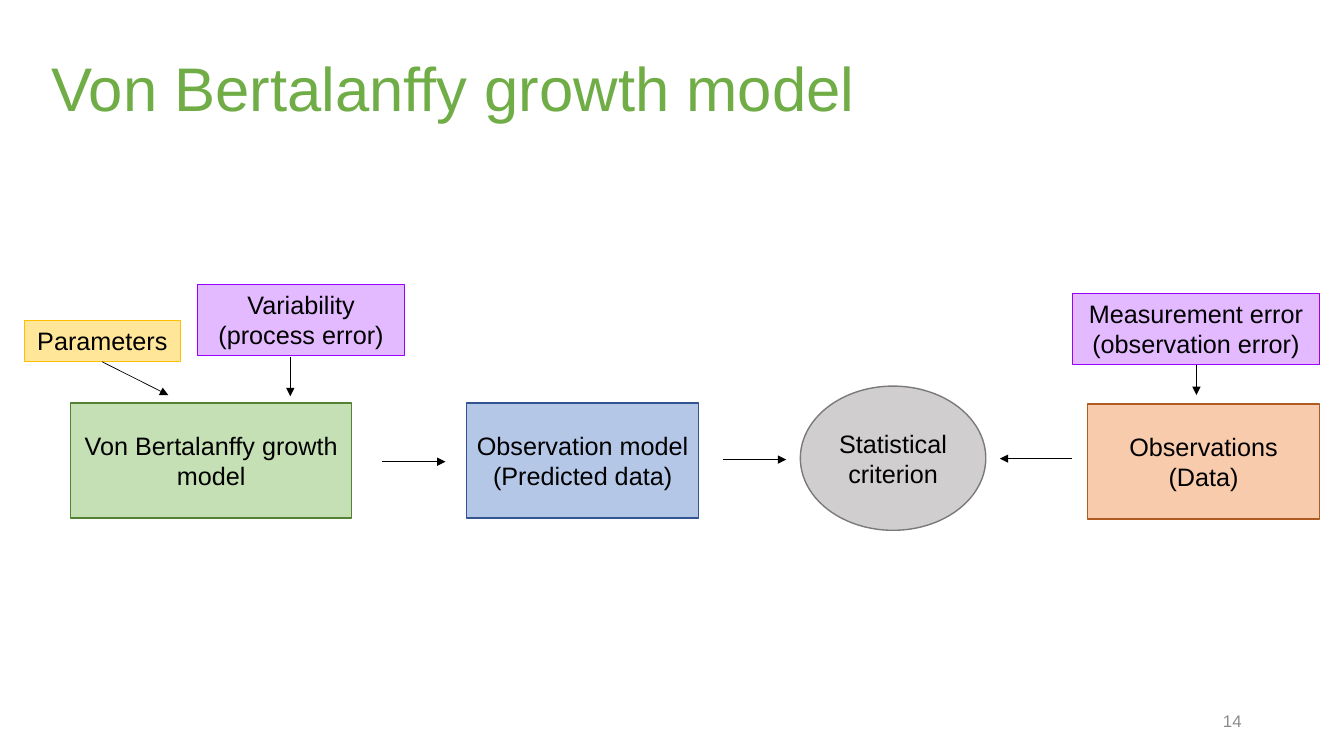
from dataclasses import dataclass

from lxml.etree import SubElement
from pptx import Presentation
from pptx.dml.color import RGBColor
from pptx.enum.shapes import MSO_CONNECTOR, MSO_SHAPE
from pptx.enum.text import MSO_ANCHOR, PP_ALIGN
from pptx.oxml.ns import qn
from pptx.slide import Slide
from pptx.text.text import TextFrame
from pptx.util import Pt


@dataclass(frozen=True)
class Theme:
    font: str = "Arial"
    title_size: float = 44
    body_size: float = 18
    number_size: float = 12
    title: str = "70AD47"
    number: str = "8C8C8C"
    ink: str = "000000"
    arrow_width: float = 0.5


@dataclass(frozen=True)
class Style:
    fill: str
    outline: str
    outline_width: float = 1
    anchor: MSO_ANCHOR = MSO_ANCHOR.MIDDLE


@dataclass(frozen=True)
class Frame:
    left: float
    top: float
    width: float
    height: float


@dataclass(frozen=True)
class Node:
    lines: tuple[str, ...]
    frame: Frame
    style: Style
    outline_shape: MSO_SHAPE = MSO_SHAPE.RECTANGLE


@dataclass(frozen=True)
class Arrow:
    start: tuple[float, float]
    end: tuple[float, float]


THEME = Theme()

PROCESS = Style("C5E0B4", "548235")
PREDICTION = Style("B4C7E7", "325491")
CRITERION = Style("D0CECE", "7A7A7A")
DATA = Style("F8CBAD", "AF5C24")
PARAMETER = Style("FFE699", "FFC000", 0.75, MSO_ANCHOR.TOP)
ERROR = Style("E3B9FF", "9900FF", 0.75, MSO_ANCHOR.TOP)

NODES = (
    Node(("Von Bertalanffy growth model",), Frame(50.4, 288, 200.9, 82.1), PROCESS),
    Node(("Parameters",), Frame(17.3, 229, 111.6, 29.1), PARAMETER),
    Node(("Variability (process error)",), Frame(141.1, 203.2, 147.9, 50.9), ERROR),
    Node(("Observation model", "(Predicted data)"), Frame(333.4, 288, 165.6, 82.1), PREDICTION),
    Node(("Statistical criterion",), Frame(571.7, 275.8, 132.5, 103), CRITERION, MSO_SHAPE.OVAL),
    Node(("Observations (Data)",), Frame(776.9, 288.7, 165.6, 82.1), DATA),
    Node(("Measurement error (observation error)",), Frame(766.1, 209.5, 176.4, 50.9), ERROR),
)

ARROWS = (
    Arrow((72.9, 258.4), (120.2, 282.2)),
    Arrow((207.4, 254.9), (207.4, 283)),
    Arrow((272.9, 329.8), (318.2, 329.8)),
    Arrow((516.2, 328.3), (561.6, 328.3)),
    Arrow((765.4, 327.6), (714.2, 327.6)),
    Arrow((854.6, 260.6), (854.6, 282.2)),
)


def write_text(text_frame: TextFrame, lines: tuple[str, ...], size: float, color: str,
               alignment: PP_ALIGN, anchor: MSO_ANCHOR = MSO_ANCHOR.MIDDLE,
               line_spacing: float = 1, side_margin: float = 7.2) -> None:
    text_frame.word_wrap = True
    text_frame.vertical_anchor = anchor
    text_frame.margin_left = text_frame.margin_right = Pt(side_margin)
    for index, line in enumerate(lines):
        para = text_frame.add_paragraph() if index else text_frame.paragraphs[0]
        para.alignment = alignment
        para.line_spacing = line_spacing
        span = para.add_run()
        span.text = line
        span.font.name = THEME.font
        span.font.size = Pt(size)
        span.font.color.rgb = RGBColor.from_string(color)


def add_label(page: Slide, frame: Frame, text: str, size: float, color: str,
              alignment: PP_ALIGN, line_spacing: float = 1) -> None:
    box = page.shapes.add_textbox(Pt(frame.left), Pt(frame.top), Pt(frame.width), Pt(frame.height))
    write_text(box.text_frame, (text,), size, color, alignment, line_spacing=line_spacing)


def add_node(page: Slide, node: Node) -> None:
    frame, style = node.frame, node.style
    box = page.shapes.add_shape(node.outline_shape, Pt(frame.left), Pt(frame.top),
                                Pt(frame.width), Pt(frame.height))
    box.shadow.inherit = False
    box.fill.solid()
    box.fill.fore_color.rgb = RGBColor.from_string(style.fill)
    box.line.color.rgb = RGBColor.from_string(style.outline)
    box.line.width = Pt(style.outline_width)
    write_text(box.text_frame, node.lines, THEME.body_size, THEME.ink,
               PP_ALIGN.CENTER, style.anchor, side_margin=6)


def add_arrow(page: Slide, arrow: Arrow) -> None:
    """Draw a straight line with a triangular head at its end."""
    connector = page.shapes.add_connector(
        MSO_CONNECTOR.STRAIGHT, *(Pt(value) for value in arrow.start + arrow.end))
    connector.line.color.rgb = RGBColor.from_string(THEME.ink)
    connector.line.width = Pt(THEME.arrow_width)
    properties = connector._element.spPr
    SubElement(properties.find(qn("a:ln")), qn("a:tailEnd"), type="triangle")
    SubElement(properties, qn("a:effectLst"))


def main() -> None:
    deck = Presentation()
    deck.slide_width, deck.slide_height = Pt(960), Pt(540)
    page = deck.slides.add_slide(deck.slide_layouts[6])
    add_label(page, Frame(678, 500.5, 216, 28.8), "14", THEME.number_size,
              THEME.number, PP_ALIGN.RIGHT)
    add_label(page, Frame(29.5, 13, 841.7, 104.4), "Von Bertalanffy growth model",
              THEME.title_size, THEME.title, PP_ALIGN.LEFT, line_spacing=0.9)
    for node in NODES:
        add_node(page, node)
    for arrow in ARROWS:
        add_arrow(page, arrow)
    deck.save("out.pptx")


if __name__ == "__main__":
    main()
